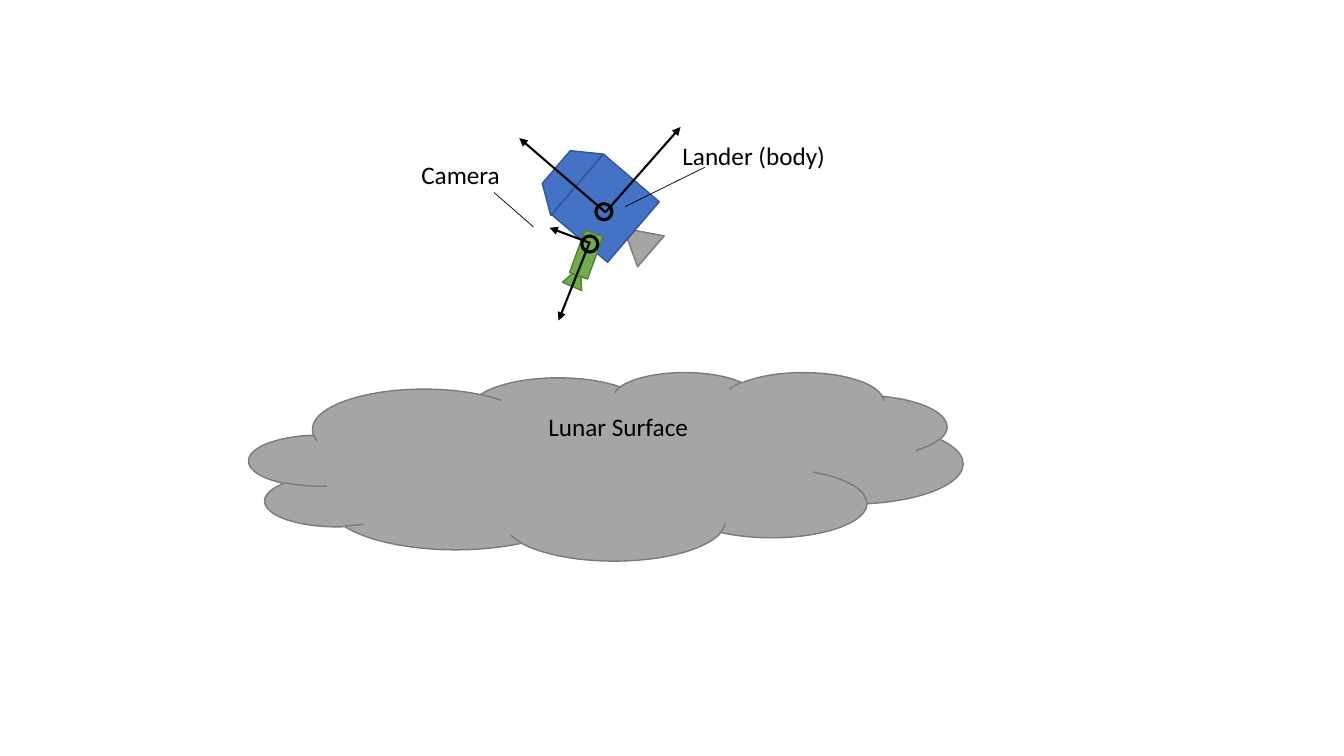
from dataclasses import dataclass

from lxml import etree
from pptx import Presentation
from pptx.dml.color import RGBColor
from pptx.enum import shapes, text
from pptx.oxml.ns import qn
from pptx.util import Inches, Pt

SHAPE = shapes.MSO_SHAPE


@dataclass(frozen=True)
class Theme:
    font: str = "Calibri"
    label_size: float = 18
    ink: str = "000000"
    gray: tuple = ("A5A5A5", "7A7A7A")
    blue: tuple = ("4472C4", "325491")
    green: tuple = ("70AD47", "538035")
    outline: float = 1
    axis: float = 1.5
    leader: float = 0.5
    ring: float = 2.25


class Diagram:
    def __init__(self, slide, theme):
        self.s = slide
        self.theme = theme

    def stroke(self, line, color, width):
        line.color.rgb = RGBColor.from_string(color)
        line.width = Pt(width)

    def place(self, kind, box, rotation):
        sp = self.s.shapes.add_shape(kind, *map(Inches, box))
        sp.rotation = rotation
        sp.shadow.inherit = False
        return sp

    def solid(self, kind, box, colors, rotation=0):
        sp = self.place(kind, box, rotation)
        fill, edge = colors
        sp.fill.solid()
        sp.fill.fore_color.rgb = RGBColor.from_string(fill)
        self.stroke(sp.line, edge, self.theme.outline)
        return sp

    def origin(self, left, top):
        sp = self.place(SHAPE.OVAL, (left, top, 0.16, 0.16), 241.3)
        sp.fill.background()
        self.stroke(sp.line, self.theme.ink, self.theme.ring)

    def line(self, start, end, width):
        cxn = self.s.shapes.add_connector(
            shapes.MSO_CONNECTOR.STRAIGHT, *map(Inches, start + end))
        self.stroke(cxn.line, self.theme.ink, width)
        etree.SubElement(cxn._element.spPr, qn("a:effectLst"))
        return cxn

    def leader(self, start, end):
        self.line(start, end, self.theme.leader)

    def axis(self, start, end):
        cxn = self.line(start, end, self.theme.axis)
        ln = cxn.line._get_or_add_ln()
        etree.SubElement(ln, qn("a:tailEnd"), type="triangle")

    def label(self, words, box):
        tb = self.s.shapes.add_textbox(*map(Inches, box))
        tf = tb.text_frame
        tf.word_wrap = True
        tf.auto_size = text.MSO_AUTO_SIZE.SHAPE_TO_FIT_TEXT
        tf.text = words
        font = tf.paragraphs[0].runs[0].font
        font.name = self.theme.font
        font.size = Pt(self.theme.label_size)
        font.color.rgb = RGBColor.from_string(self.theme.ink)


def main():
    prs = Presentation()
    prs.slide_width, prs.slide_height = Inches(13.33), Inches(7.5)
    theme = Theme()
    d = Diagram(prs.slides.add_slide(prs.slide_layouts[6]), theme)
    lander_tilt = 310.5

    d.solid(SHAPE.ISOSCELES_TRIANGLE, (6.15, 2.3, 0.41, 0.35), theme.gray, 190.5)
    d.solid(SHAPE.RECTANGLE, (5.61, 1.7, 0.79, 0.73), theme.blue, lander_tilt)
    d.solid(SHAPE.ISOSCELES_TRIANGLE, (5.61, 2.64, 0.21, 0.21), theme.green, 23.1)
    d.solid(SHAPE.RECTANGLE, (5.72, 2.3, 0.19, 0.45), theme.green, 200.2)
    d.axis((5.85, 2.4), (5.54, 3.18))
    d.axis((5.85, 2.41), (5.45, 2.26))
    nose = d.solid(SHAPE.TRAPEZOID, (5.22, 1.61, 0.8, 0.27), theme.blue, lander_tilt)
    nose.adjustments[0] = 0.69

    d.solid(SHAPE.CLOUD, (2.47, 3.69, 7.08, 1.87), theme.gray)
    d.label("Lunar Surface", (5.34, 4.03, 2.49, 0.4))
    d.label("Camera", (4.08, 1.53, 1.05, 0.4))
    d.leader((5.29, 2.25), (4.9, 1.91))
    d.label("Lander (body)", (6.67, 1.34, 1.67, 0.4))
    d.leader((6.2, 2.05), (6.99, 1.66))

    d.origin(5.77, 2.34)
    d.axis((6.01, 2.11), (5.15, 1.37))
    d.axis((6.01, 2.1), (6.75, 1.26))
    d.origin(5.91, 2.02)

    prs.save("out.pptx")


if __name__ == "__main__":
    main()
